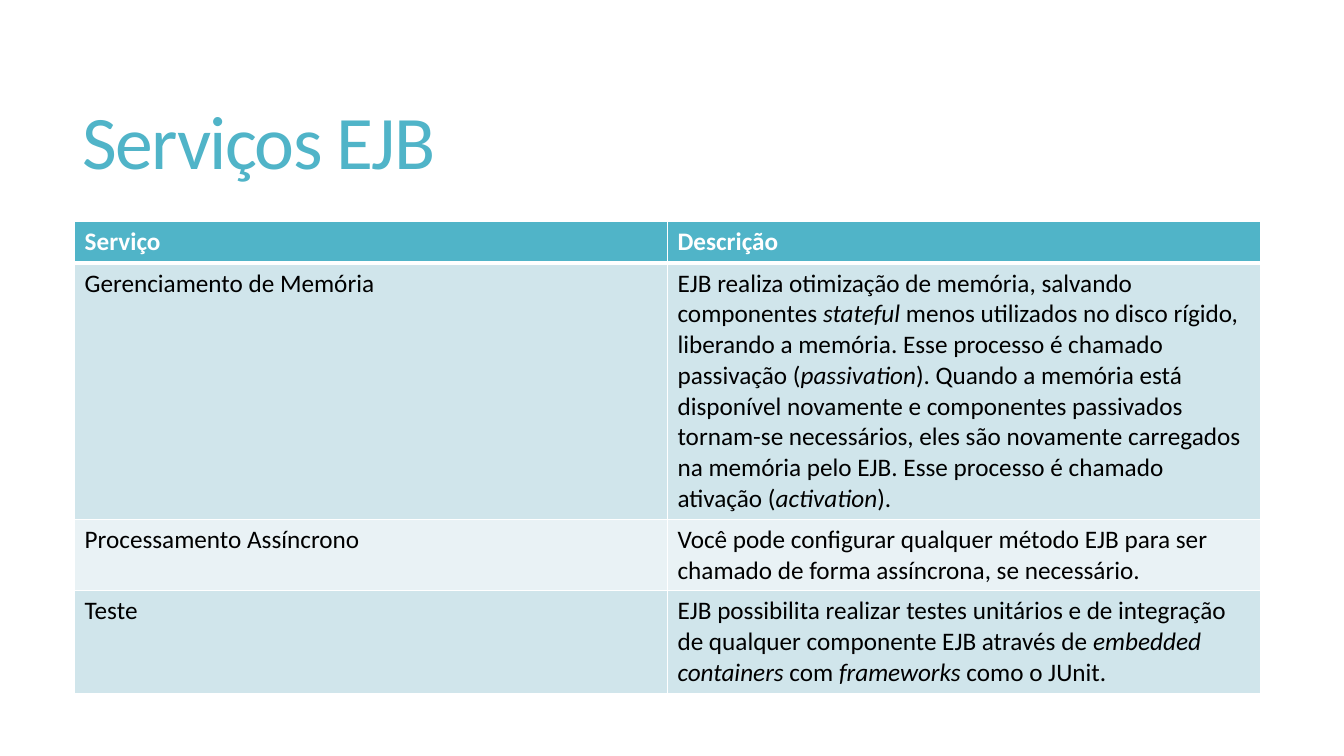
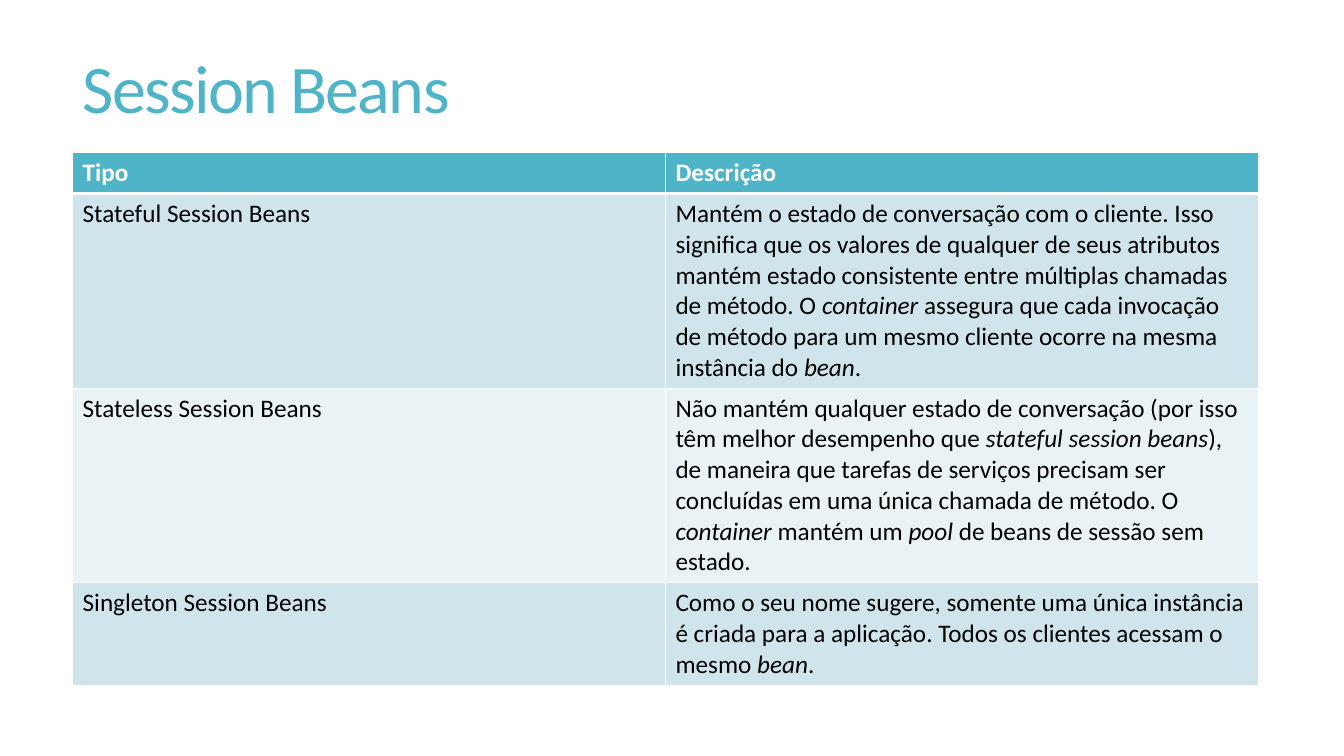
from dataclasses import dataclass

from lxml.etree import SubElement
from pptx import Presentation
from pptx.dml.color import RGBColor
from pptx.enum.text import MSO_ANCHOR, MSO_AUTO_SIZE, PP_ALIGN
from pptx.oxml.ns import qn
from pptx.util import Pt

PX = 9144
SLIDE_SIZE = (1333, 750)
TITLE_LEFT, TITLE_TOP, TITLE_WIDTH = 72, 55, 1178
COLUMN_WIDTH, ROW_HEIGHT = 588, 41


@dataclass(frozen=True)
class Theme:
    font: str = "Calibri"
    accent: str = "50B4C8"
    bands: tuple = ("D0E5EB", "E9F2F5")
    light: str = "FFFFFF"
    dark: str = "000000"
    cell_size: float = 18
    title_spacing: int = -120
    title_leading: float = 0.85
    border: int = 1
    header_border: int = 3


THEME = Theme()

SLIDES = [
    {
        "title": "Serviços EJB",
        "title_size": 54,
        "title_height": 181,
        "table_at": (74, 220),
        "rows": [
            ("Serviço", "Descrição"),
            (
                "Gerenciamento de Memória",
                "EJB realiza otimização de memória, salvando componentes *stateful* menos "
                "utilizados no disco rígido, liberando a memória. Esse processo é chamado "
                "passivação (*passivation*). Quando a memória está disponível novamente e "
                "componentes passivados tornam-se necessários, eles são novamente carregados "
                "na memória pelo EJB. Esse processo é chamado ativação (*activation*).",
            ),
            (
                "Processamento Assíncrono",
                "Você pode configurar qualquer método EJB para ser chamado de forma "
                "assíncrona, se necessário.",
            ),
            (
                "Teste",
                "EJB possibilita realizar testes unitários e de integração de qualquer "
                "componente EJB através de *embedded containers* com *frameworks* como o JUnit.",
            ),
        ],
    },
    {
        "title": "Session Beans",
        "title_size": 48.6,
        "title_height": 74,
        "table_at": (72, 151),
        "rows": [
            ("Tipo", "Descrição"),
            (
                "Stateful Session Beans",
                "Mantém o estado de conversação com o cliente. Isso significa que os valores "
                "de qualquer de seus atributos mantém estado consistente entre múltiplas "
                "chamadas de método. O *container *assegura que cada invocação de método para "
                "um mesmo cliente ocorre na mesma instância do *bean*.",
            ),
            (
                "Stateless Session Beans",
                "Não mantém qualquer estado de conversação (por isso têm melhor desempenho "
                "que *stateful session beans*), de maneira que tarefas de serviços precisam "
                "ser concluídas em uma única chamada de método. O *container* mantém um "
                "*pool* de beans de sessão sem estado.",
            ),
            (
                "Singleton Session Beans",
                "Como o seu nome sugere, somente uma única instância é criada para a "
                "aplicação. Todos os clientes acessam o mesmo *bean*.",
            ),
        ],
    },
]


def apply(target, values):
    for name, value in values.items():
        setattr(target, name, value)


def format_font(font, size, color, **values):
    apply(font, {"name": THEME.font, "size": Pt(size), **values})
    font.color.rgb = RGBColor.from_string(color)


def add_title(page, content):
    box = page.shapes.title
    apply(box, {
        "left": TITLE_LEFT * PX,
        "top": TITLE_TOP * PX,
        "width": TITLE_WIDTH * PX,
        "height": content["title_height"] * PX,
    })
    apply(box.text_frame, {
        "word_wrap": True,
        "auto_size": MSO_AUTO_SIZE.NONE,
        "vertical_anchor": MSO_ANCHOR.MIDDLE,
    })
    para = box.text_frame.paragraphs[0]
    apply(para, {"alignment": PP_ALIGN.LEFT, "line_spacing": THEME.title_leading})
    span = para.add_run()
    span.text = content["title"]
    format_font(span.font, content["title_size"], THEME.accent)
    span.font._element.set("spc", str(THEME.title_spacing))


def add_borders(cell, top, bottom):
    properties = cell._tc.get_or_add_tcPr()
    widths = {"lnL": THEME.border, "lnR": THEME.border, "lnT": top, "lnB": bottom}
    for side, width in widths.items():
        line = SubElement(properties, qn(f"a:{side}"), w=str(Pt(width)))
        fill = SubElement(line, qn("a:solidFill"))
        SubElement(fill, qn("a:srgbClr"), val=THEME.light)


def fill_cell(cell, text, row):
    header = row == 0
    add_borders(
        cell,
        top=THEME.header_border if row == 1 else THEME.border,
        bottom=THEME.header_border if header else THEME.border,
    )
    cell.fill.solid()
    color = THEME.accent if header else THEME.bands[(row - 1) % 2]
    cell.fill.fore_color.rgb = RGBColor.from_string(color)
    para = cell.text_frame.paragraphs[0]
    for index, part in enumerate(text.split("*")):
        span = para.add_run()
        span.text = part
        format_font(
            span.font,
            THEME.cell_size,
            THEME.light if header else THEME.dark,
            bold=header,
            italic=index % 2 == 1,
        )


def add_table(page, content):
    rows = content["rows"]
    left, top = content["table_at"]
    columns = len(rows[0])
    table = page.shapes.add_table(
        len(rows), columns, left * PX, top * PX,
        columns * COLUMN_WIDTH * PX, len(rows) * ROW_HEIGHT * PX,
    ).table
    for row, texts in enumerate(rows):
        for column, text in enumerate(texts):
            fill_cell(table.cell(row, column), text, row)


def main():
    deck = Presentation()
    deck.slide_width, deck.slide_height = (length * PX for length in SLIDE_SIZE)
    for content in SLIDES:
        page = deck.slides.add_slide(deck.slide_layouts[5])
        add_title(page, content)
        add_table(page, content)
    deck.save("out.pptx")


if __name__ == "__main__":
    main()
